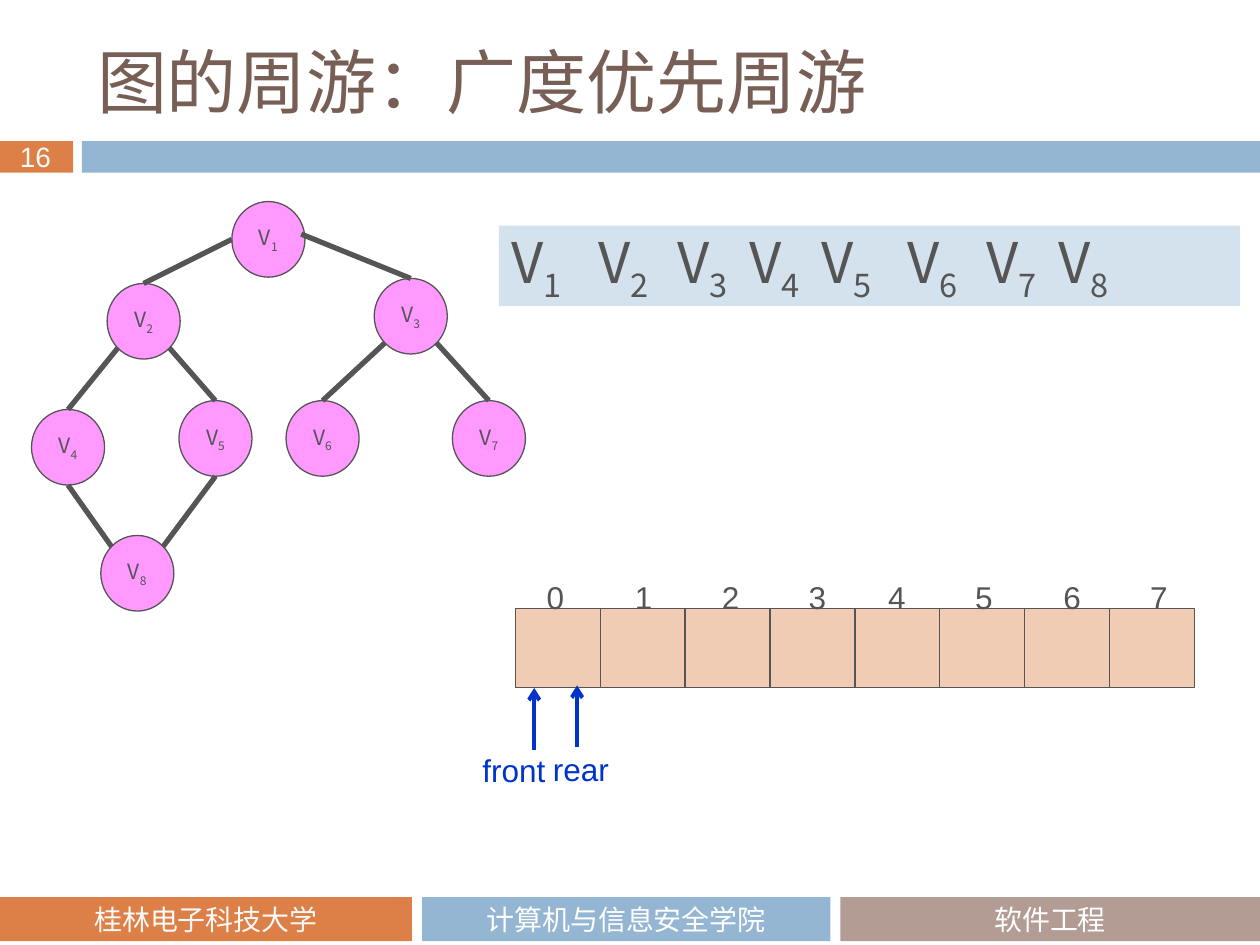
from dataclasses import dataclass

from lxml import etree
from pptx import Presentation
from pptx.dml.color import RGBColor
from pptx.enum import shapes, text
from pptx.oxml.ns import qn
from pptx.util import Inches, Pt


@dataclass(frozen=True)
class Theme:
    orange: str = "DD8047"
    blue: str = "94B6D2"
    taupe: str = "B29C93"
    title: str = "775F55"
    ink: str = "555555"
    node: str = "FF99FF"
    cell: str = "F1CCB5"
    panel: str = "D4E2ED"
    pointer: str = "0033CC"
    white: str = "FFFFFF"
    off_white: str = "F9F9F9"
    sans: str = "Arial"
    footer_font: str = "Calibri"
    cjk: str = "Noto Sans CJK JP"
    node_font: str = "Noto Sans CJK SC"
    title_size: int = 40
    visited_size: int = 32
    label_size: int = 18
    footer_size: int = 16
    node_size: int = 12


T = Theme()
LEFT, CENTER = text.PP_ALIGN.LEFT, text.PP_ALIGN.CENTER
TOP, MIDDLE = text.MSO_ANCHOR.TOP, text.MSO_ANCHOR.MIDDLE

# Graph nodes: left and top of each circle
NODE_W, NODE_H = 0.58, 0.6
NODES = {1: (1.84, 1.6), 2: (0.85, 2.25), 3: (2.97, 2.21), 4: (0.25, 3.25),
         5: (1.42, 3.18), 6: (2.27, 3.18), 7: (3.59, 3.18), 8: (0.8, 4.25)}

# Points on a circle as fractions of its width and height
N, S, W, E = (0.5, 0), (0.5, 1), (0, 0.5), (0.95, 0.43)
NW, NE, SW, SE = (0.15, 0.15), (0.85, 0.15), (0.15, 0.85), (0.85, 0.85)
EDGES = [(1, W, 2, N), (1, E, 3, N), (2, SW, 4, N), (2, SE, 5, N),
         (3, SW, 6, N), (3, SE, 7, N), (4, S, 8, NW), (5, S, 8, NE)]

QUEUE_SIZE = 8
INDEX_TABS = [0.7, 1.39, 2.08, 2.71, 3.4, 4.1, 4.79]
VISITED_TABS = [0.69, 1.32, 1.89, 2.46, 3.14, 3.77, 4.34]


def rgb(color):
    return RGBColor.from_string(color)


def style_run(r, size, color, font, subscript=False):
    r.font.size = Pt(size)
    r.font.color.rgb = rgb(color)
    r.font.name = font
    props = r._r.get_or_add_rPr()
    if font in (T.cjk, T.node_font):
        etree.SubElement(props, qn("a:ea")).set("typeface", font)
    if subscript:
        props.set("baseline", "-25000")


def add_tabs(p, stops):
    tabs = etree.SubElement(p._p.get_or_add_pPr(), qn("a:tabLst"))
    for stop in stops:
        etree.SubElement(tabs, qn("a:tab"), pos=str(Inches(stop)), algn="l")


def write(shape, parts, size, color, font, align=LEFT, anchor=TOP, wrap=True, tabs=()):
    """Fill one paragraph with (text, is_subscript) parts."""
    tf = shape.text_frame
    tf.word_wrap = wrap
    tf.auto_size = text.MSO_AUTO_SIZE.NONE
    tf.vertical_anchor = anchor
    p = tf.paragraphs[0]
    p.alignment = align
    if tabs:
        add_tabs(p, tabs)
    for content, subscript in parts:
        r = p.add_run()
        r.text = content
        style_run(r, size, color, font, subscript)


def add_box(s, box, fill, line=None, kind=shapes.MSO_SHAPE.RECTANGLE):
    sp = s.shapes.add_shape(kind, *map(Inches, box))
    sp.shadow.inherit = False
    sp.fill.solid()
    sp.fill.fore_color.rgb = rgb(fill)
    if line:
        sp.line.color.rgb = rgb(line)
        sp.line.width = Pt(0.75)
    else:
        sp.line.fill.background()
    return sp


def add_label(s, box, content, size, color, **options):
    sp = s.shapes.add_textbox(*map(Inches, box))
    write(sp, [(content, False)], size, color, T.sans, **options)


def add_line(s, start, end, color, width, arrow=False):
    c = s.shapes.add_connector(shapes.MSO_CONNECTOR.STRAIGHT, *map(Inches, (*start, *end)))
    c.line.color.rgb = rgb(color)
    c.line.width = Pt(width)
    if arrow:
        etree.SubElement(c.line._get_or_add_ln(), qn("a:tailEnd")).set("type", "arrow")
    etree.SubElement(c._element.spPr, qn("a:effectLst"))


def add_frame(s):
    """Header band with the slide number, and the three footer bars."""
    add_box(s, (0, 1.12, 0.58, 0.25), T.orange)
    add_box(s, (0.65, 1.12, 9.35, 0.25), T.blue)
    add_label(s, (0.06, 1.06, 0.48, 0.37), "16", T.footer_size, T.off_white, wrap=False)
    for left, width, fill, color, content in (
            (0, 3.27, T.orange, T.off_white, "桂林电子科技大学"),
            (3.35, 3.24, T.blue, T.white, "计算机与信息安全学院"),
            (6.67, 3.33, T.taupe, T.white, "软件工程")):
        bar = add_box(s, (left, 7.12, width, 0.35), fill)
        write(bar, [(content, False)], T.footer_size, color, T.footer_font, CENTER, MIDDLE)


def set_title(s, content):
    title = s.shapes.title
    title.left, title.top, title.width, title.height = map(Inches, (0.67, 0.25, 8.92, 0.78))
    write(title, [(content, False)], T.title_size, T.title, T.cjk, anchor=MIDDLE)


def node_point(number, site):
    left, top = NODES[number]
    return left + site[0] * NODE_W, top + site[1] * NODE_H


def add_graph(s):
    for number, place in NODES.items():
        node = add_box(s, (*place, NODE_W, NODE_H), T.node, T.ink, shapes.MSO_SHAPE.OVAL)
        write(node, [("V", False), (str(number), True)], T.node_size, T.ink,
              T.node_font, CENTER, MIDDLE, wrap=False)
    for first, start, second, end in EDGES:
        add_line(s, node_point(first, start), node_point(second, end), T.ink, 3)


def add_queue(s):
    left, pitch = 4.09, 5.39 / QUEUE_SIZE
    for i in range(QUEUE_SIZE):
        add_box(s, (left + i * pitch, 4.83, pitch, 0.63), T.cell, T.ink)
    add_label(s, (4.24, 4.54, 5.25, 0.4), "\t".join(map(str, range(QUEUE_SIZE))),
              T.label_size, T.ink, tabs=INDEX_TABS)
    for name, box, x, tip in (("front", (3.73, 5.91, 0.71, 0.4), 4.24, 5.46),
                              ("rear", (4.29, 5.9, 0.65, 0.4), 4.58, 5.44)):
        add_label(s, box, name, T.label_size, T.pointer, wrap=False)
        add_line(s, (x, tip + 0.49), (x, tip), T.pointer, 2.25, arrow=True)


def add_visited(s):
    panel = add_box(s, (3.96, 1.79, 5.88, 0.64), T.panel)
    panel.text_frame.margin_top = panel.text_frame.margin_bottom = 0
    parts = []
    for number in sorted(NODES):
        tab = "\t" if number < len(NODES) else ""
        parts += [("V", False), (f"{number}{tab}", True)]
    write(panel, parts, T.visited_size, T.ink, T.cjk, anchor=MIDDLE, tabs=VISITED_TABS)


def main():
    prs = Presentation()
    prs.slide_width, prs.slide_height = Inches(10), Inches(7.5)
    s = prs.slides.add_slide(prs.slide_layouts[5])
    add_frame(s)
    set_title(s, "图的周游：广度优先周游")
    add_graph(s)
    add_queue(s)
    add_visited(s)
    prs.save("out.pptx")


if __name__ == "__main__":
    main()
